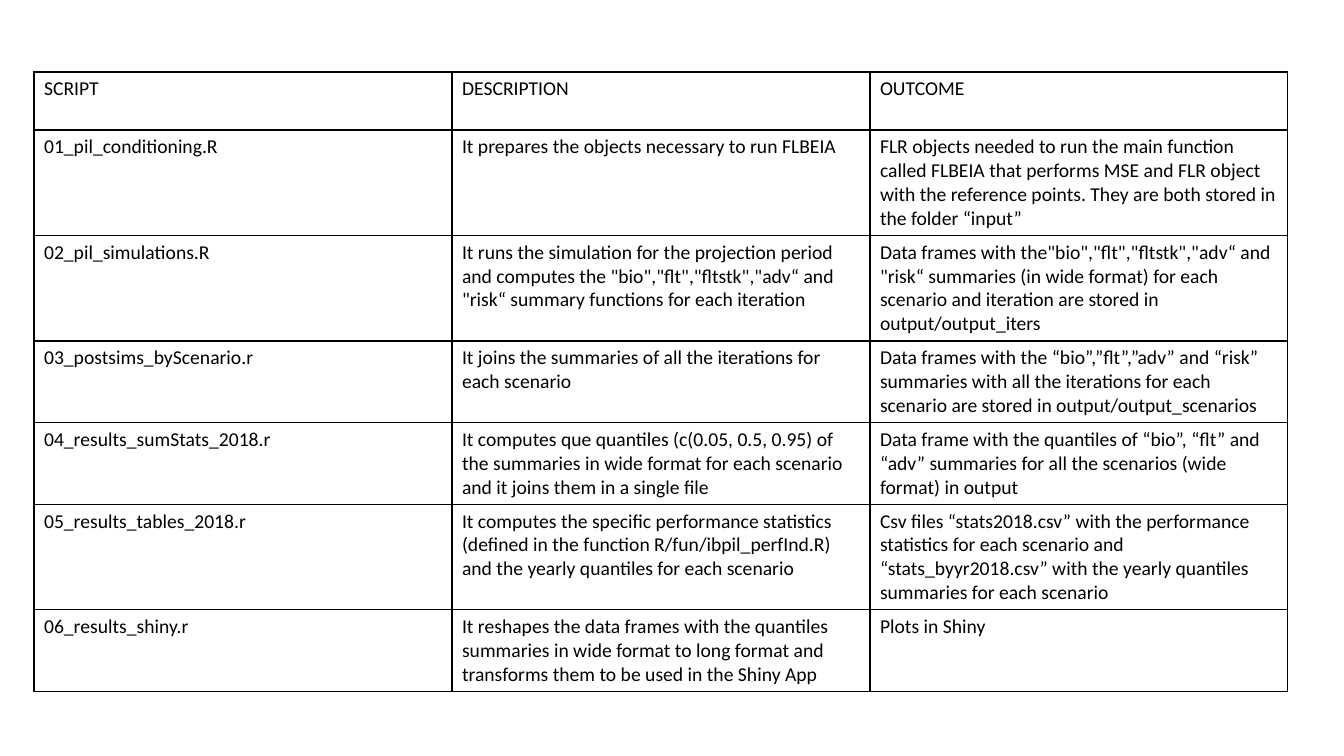
import lxml.etree
import pptx
import pptx.dml.color
import pptx.oxml.ns
import pptx.util

EMU_PER_PX = 914400 / 100.8
BLACK = pptx.dml.color.RGBColor(0x00, 0x00, 0x00)
WHITE = pptx.dml.color.RGBColor(0xFF, 0xFF, 0xFF)
BLANK_LAYOUT = 6

SCRIPT_ROWS = [
    ("SCRIPT", "DESCRIPTION", "OUTCOME"),
    ("01_pil_conditioning.R",
     "It prepares the objects necessary to run FLBEIA",
     "FLR objects needed to run the main function called FLBEIA that performs MSE and "
     "FLR object with the reference points. They are both stored in the folder “input”"),
    ("02_pil_simulations.R",
     "It runs the simulation for the projection period and computes the "
     '"bio","flt","fltstk","adv“ and "risk“ summary functions for each iteration',
     'Data frames with the"bio","flt","fltstk","adv“ and "risk“ summaries (in wide format) '
     "for each scenario and iteration are stored in output/output_iters"),
    ("03_postsims_byScenario.r",
     "It joins the summaries of all the iterations for each scenario",
     "Data frames with the “bio”,”flt”,”adv” and “risk” summaries with all the iterations "
     "for each scenario are stored in output/output_scenarios"),
    ("04_results_sumStats_2018.r",
     "It computes que quantiles (c(0.05, 0.5, 0.95) of the summaries in wide format "
     "for each scenario and it joins them in a single file",
     "Data frame with the quantiles of “bio”, “flt” and “adv” summaries "
     "for all the scenarios (wide format) in output"),
    ("05_results_tables_2018.r",
     "It computes the specific performance statistics (defined in the function "
     "R/fun/ibpil_perfInd.R) and the yearly quantiles for each scenario",
     "Csv files “stats2018.csv” with the performance statistics for each scenario and "
     "“stats_byyr2018.csv” with the yearly quantiles summaries for each scenario"),
    ("06_results_shiny.r",
     "It reshapes the data frames with the quantiles summaries in wide format to long "
     "format and transforms them to be used in the Shiny App",
     "Plots in Shiny"),
]


def px(length):
    return pptx.util.Emu(round(length * EMU_PER_PX))


def write_text(para, text, *, font, size, color):
    span = para.add_run()
    span.text = text
    span.font.name = font
    span.font.size = pptx.util.Pt(size)
    span.font.color.rgb = color


class PageBuilder:
    """Holds the style and the current slide."""

    def __init__(self, page, font="Calibri", size=14, color=BLACK, border=1):
        self.page = page
        self.text_style = {"font": font, "size": size, "color": color}
        self.border_color = color
        self.border_width = pptx.util.Pt(border)

    def background(self, color):
        fill = self.page.background.fill
        fill.solid()
        fill.fore_color.rgb = color

    def cell_borders(self, cell):
        qn = pptx.oxml.ns.qn
        properties = cell._tc.get_or_add_tcPr()
        for side in ("a:lnL", "a:lnR", "a:lnT", "a:lnB"):
            line = lxml.etree.SubElement(properties, qn(side), w=str(self.border_width))
            fill = lxml.etree.SubElement(line, qn("a:solidFill"))
            lxml.etree.SubElement(fill, qn("a:srgbClr"), val=str(self.border_color))

    def table(self, rows, left, top, column_width, row_height):
        columns = len(rows[0])
        frame = self.page.shapes.add_table(
            len(rows), columns, px(left), px(top),
            px(column_width * columns), px(row_height * len(rows)))
        table = frame.table
        table.first_row = False
        table.horz_banding = False
        for column in table.columns:
            column.width = px(column_width)
        for row, texts in zip(table.rows, rows):
            row.height = px(row_height)
            for cell, text in zip(row.cells, texts):
                self.cell_borders(cell)
                cell.fill.background()
                write_text(cell.text_frame.paragraphs[0], text, **self.text_style)


def main():
    deck = pptx.Presentation()
    deck.slide_width = px(1344)
    deck.slide_height = px(756)
    builder = PageBuilder(deck.slides.add_slide(deck.slide_layouts[BLANK_LAYOUT]))
    builder.background(WHITE)

    # Overview of the scripts; rows grow with their text
    builder.table(SCRIPT_ROWS, left=34, top=72, column_width=418, row_height=58)

    deck.save("out.pptx")


if __name__ == "__main__":
    main()
